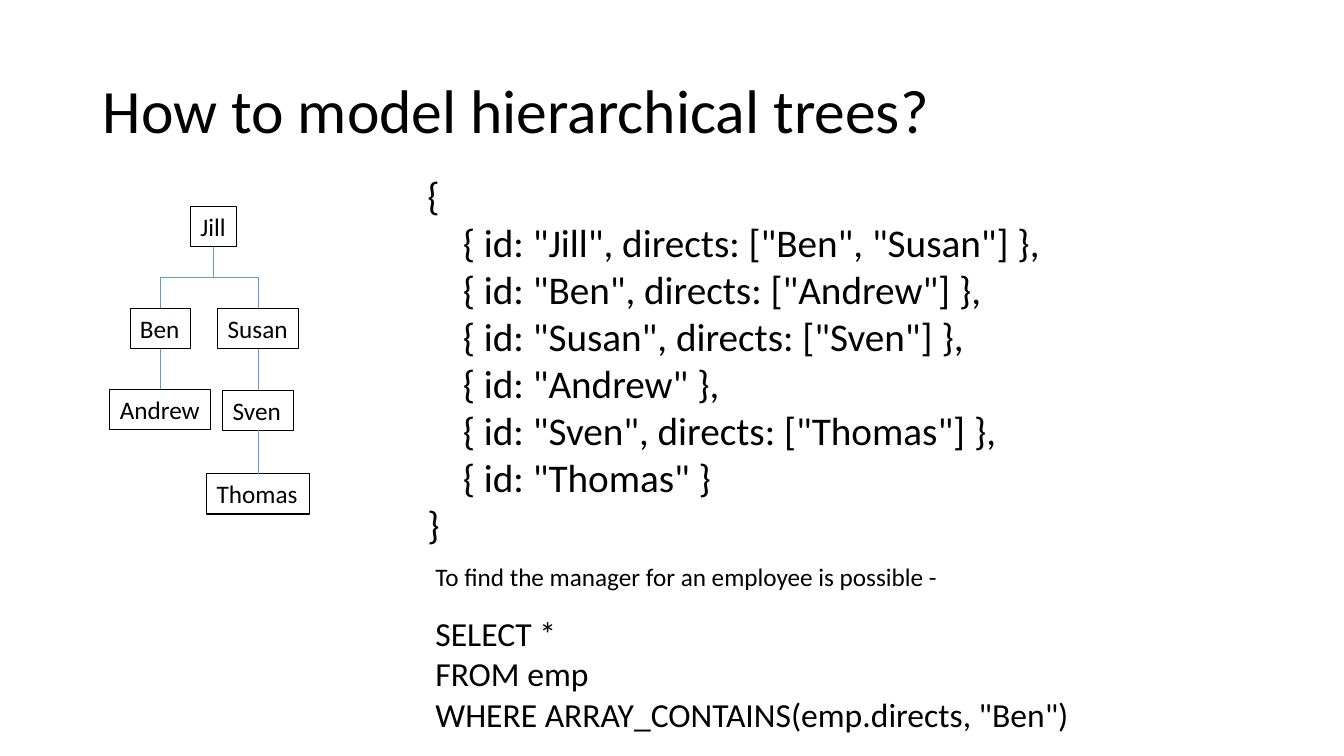
from pptx import Presentation
from pptx.dml.color import RGBColor
from pptx.enum.shapes import MSO_CONNECTOR as Link, MSO_SHAPE as Preset
from pptx.enum.text import MSO_ANCHOR as Anchor, MSO_AUTO_SIZE as Fit, PP_ALIGN as Align
from pptx.oxml.ns import qn
from pptx.util import Pt
from lxml.etree import SubElement

PX = 9144  # one hundred px to the inch
COLORS = {"ink": "000000", "link": "5B9BD5"}
BOTTOM, TOP = 2, 0  # connection sites of a rectangle
NODE_HEIGHT = 40

# name: (centre x, top, width)
PEOPLE = {
    "Jill": (212, 205, 46),
    "Ben": (159, 306, 60),
    "Susan": (256, 306, 80),
    "Sven": (256, 387, 70),
    "Andrew": (159, 386, 100),
    "Thomas": (256, 470, 102),
}
REPORTS = [("Jill", "Ben"), ("Ben", "Andrew"), ("Jill", "Susan"),
           ("Susan", "Sven"), ("Sven", "Thomas")]

DOCUMENTS = """{
    { id: "Jill", directs: ["Ben", "Susan"] },
    { id: "Ben", directs: ["Andrew"] },
    { id: "Susan", directs: ["Sven"] },
    { id: "Andrew" },
    { id: "Sven", directs: ["Thomas"] },
    { id: "Thomas" }
}"""
QUERY = """SELECT *
FROM emp
WHERE ARRAY_CONTAINS(emp.directs, "Ben")"""


def rgb(name):
    return RGBColor.from_string(COLORS[name])


def write(frame, text, size=18, wrap=False, anchor=Anchor.TOP, spacing=None):
    frame.auto_size = Fit.NONE
    frame.word_wrap = wrap
    frame.vertical_anchor = anchor
    for index, line in enumerate(text.split("\n")):
        para = frame.add_paragraph() if index else frame.paragraphs[0]
        para.alignment = Align.LEFT
        if spacing:
            para.line_spacing = spacing
        span = para.add_run()
        span.text = line
        span.font.name = "Calibri"
        span.font.size = Pt(size)
        span.font.color.rgb = rgb("ink")


class Page:
    def __init__(self, deck):
        self.slide = deck.slides.add_slide(deck.slide_layouts[5])
        self.shapes = self.slide.shapes

    def title(self, text, left, top, width, height):
        box = self.shapes.title
        box.left, box.top = left * PX, top * PX
        box.width, box.height = width * PX, height * PX
        write(box.text_frame, text, size=44, wrap=True, anchor=Anchor.MIDDLE, spacing=0.9)

    def text(self, text, left, top, width, height, **style):
        box = self.shapes.add_textbox(left * PX, top * PX, width * PX, height * PX)
        write(box.text_frame, text, **style)

    def node(self, name, center, top, width):
        box = self.shapes.add_shape(Preset.RECTANGLE, center * PX - width * PX // 2,
                                    top * PX, width * PX, NODE_HEIGHT * PX)
        box.shadow.inherit = False
        box.fill.background()
        box.line.color.rgb = rgb("ink")
        box.line.width = Pt(0.75)
        write(box.text_frame, name)
        return box

    def link(self, boss, report):
        aligned = boss.left + boss.width // 2 == report.left + report.width // 2
        line = self.shapes.add_connector(Link.STRAIGHT if aligned else Link.ELBOW, 0, 0, 0, 0)
        line.begin_connect(boss, BOTTOM)
        line.end_connect(report, TOP)
        line.line.color.rgb = rgb("link")
        line.line.width = Pt(0.5)
        SubElement(line._element.spPr, qn("a:effectLst"))
        if not aligned:
            self.turn_down(line)

    def turn_down(self, line):
        """Rotate an elbow so that it leaves and arrives vertically."""
        run, drop = line.end_x - line.begin_x, line.end_y - line.begin_y
        middle_x = (line.begin_x + line.end_x) // 2
        middle_y = (line.begin_y + line.end_y) // 2
        line.width, line.height = drop, abs(run)
        line.left, line.top = middle_x - drop // 2, middle_y - abs(run) // 2
        frame = line._element.spPr.find(qn("a:xfrm"))
        frame.set("rot", str((270 if run > 0 else 90) * 60000))
        frame.set("flipH", "1" if run > 0 else "0")


def main():
    deck = Presentation()
    deck.slide_width, deck.slide_height = 1333 * PX, 750 * PX
    page = Page(deck)
    page.title("How to model hierarchical trees?", 92, 40, 1150, 145)

    # Reporting tree
    nodes = {name: page.node(name, *place) for name, place in PEOPLE.items()}
    for boss, report in REPORTS:
        page.link(nodes[boss], nodes[report])

    # Documents and query
    page.text(DOCUMENTS, 414, 165, 722, 387, size=28, wrap=True)
    page.text(QUERY, 422, 603, 673, 131, size=24)
    page.text("To find the manager for an employee is possible -", 422, 552, 530, 40)

    deck.save("out.pptx")


if __name__ == "__main__":
    main()
